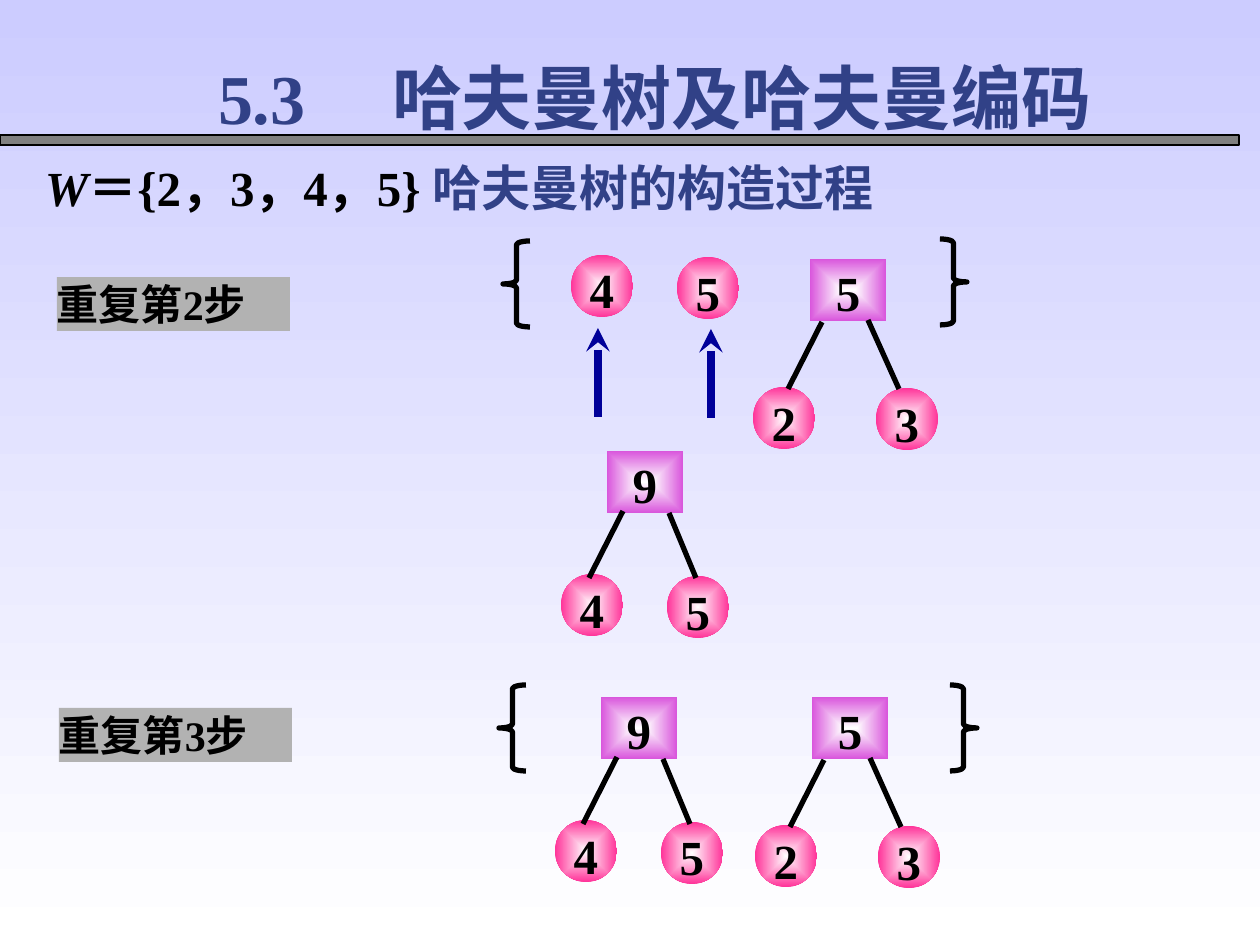
import pptx
import pptx.util
import pptx.dml.color
import pptx.enum.shapes
import pptx.enum.text
import pptx.oxml
import pptx.oxml.ns

SCALE = 914400 / 126
LATIN, ASIAN = "Times New Roman", "Noto Sans CJK SC"
BLACK, NAVY = "000000", "314187"
NODE = 62  # height of every node
SHAPE = pptx.enum.shapes.MSO_SHAPE
ALIGN = pptx.enum.text.PP_ALIGN
qn = pptx.oxml.ns.qn


def px(*nums):
    return [pptx.util.Emu(round(n * SCALE)) for n in nums]


def hue(code):
    return pptx.dml.color.RGBColor.from_string(code)


def sub(parent, tag, **attrs):
    node = parent.makeelement(qn(tag), attrs)
    parent.append(node)
    return node


def style(run, size, color=BLACK, slant=False):
    font = run.font
    font.size = pptx.util.Pt(size)
    font.bold, font.italic = True, slant
    font.color.rgb = hue(color)
    font.name = LATIN
    sub(run._r.get_or_add_rPr(), "a:ea", typeface=ASIAN)


def setup(frame, pads, wrap=True):
    frame.auto_size = pptx.enum.text.MSO_AUTO_SIZE.NONE
    frame.vertical_anchor = pptx.enum.text.MSO_ANCHOR.MIDDLE
    frame.word_wrap = wrap
    (frame.margin_left, frame.margin_top,
     frame.margin_right, frame.margin_bottom) = px(*pads)


def shade(fill, inner, outer):
    fill.gradient()
    for stop, pos, code in zip(fill.gradient_stops, (0, 1), (inner, outer)):
        stop.position = pos
        stop.color.rgb = hue(code)


def block(slide, kind, x, y, w, h, color=None):
    item = slide.shapes.add_shape(kind, *px(x, y, w, h))
    item.shadow.inherit = False
    item.line.fill.background()
    if color:
        item.fill.solid()
        item.fill.fore_color.rgb = hue(color)
    return item


def write(item, text, size, align, pads, wrap=True):
    setup(item.text_frame, pads, wrap)
    para = item.text_frame.paragraphs[0]
    para.text = text
    para.alignment = align
    style(para.runs[0], size)


def node(slide, kind, x, y, w, text, color, drop):
    item = block(slide, kind, x, y, w, NODE)
    shade(item.fill, "FFFFFF", color)
    # Radiate the gradient from the centre
    grad = item._element.spPr.find(qn("a:gradFill"))
    grad.remove(grad.find(qn("a:lin")))
    way = sub(grad, "a:path", path="rect")
    sub(way, "a:fillToRect", l="50000", t="50000", r="50000", b="50000")
    write(item, text, 28, ALIGN.CENTER, (0, drop, 0, 0), False)


def leaf(slide, x, y, text):
    node(slide, SHAPE.OVAL, x, y, NODE, text, "FF3399", 7)


def line(slide, start, end, color=BLACK, width=3, head=None):
    item = slide.shapes.add_connector(
        pptx.enum.shapes.MSO_CONNECTOR.STRAIGHT, *px(*start, *end))
    item.line.color.rgb = hue(color)
    item.line.width = pptx.util.Pt(width)
    if head:
        sub(item.line._get_or_add_ln(), "a:tailEnd", type=head)
    sub(item._element.spPr, "a:effectLst")


def tree(slide, x, y, root, leaves, spots, edges):
    """Root box at x, y; leaves and edges are offsets from it."""
    for text, (dx, dy) in zip(leaves, spots):
        leaf(slide, x + dx, y + dy, text)
    node(slide, SHAPE.RECTANGLE, x, y, 76, root, "D955DC", 4)
    for x1, y1, x2, y2 in edges:
        line(slide, (x + x1, y + y1), (x + x2, y + y2))


def nine(slide, x, y):
    tree(slide, x, y, "9", "45", [(-46, 123), (60, 125)],
         [(16, 60, -18, 127), (62, 62, 89, 127)])


def five(slide, x, y):
    tree(slide, x, y, "5", "23", [(-57, 128), (66, 129)],
         [(12, 63, -22, 130), (58, 61, 89, 130)])


def brace(slide, kind, x, y):
    item = block(slide, kind, x, y, 27, 86)
    item.adjustments[0] = 0.14
    item.fill.background()
    item.line.color.rgb = hue(BLACK)
    item.line.width = pptx.util.Pt(3)


def label(slide, x, y, text):
    item = block(slide, SHAPE.RECTANGLE, x, y, 233, 54, "B2B2B2")
    write(item, text, 24, ALIGN.LEFT, (0, 0, 0, 0))


def title(slide):
    item = slide.shapes.title
    item.left, item.top, item.width, item.height = px(205, 48, 971, 97)
    setup(item.text_frame, (13, 6, 13, 6))
    para = item.text_frame.paragraphs[0]
    para.text = "5.3\t哈夫曼树及哈夫曼编码"
    para.alignment = ALIGN.LEFT
    tabs = sub(para._p.get_or_add_pPr(), "a:tabLst")
    sub(tabs, "a:tab", pos=str(px(174)[0]), algn="l")
    style(para.runs[0], 40, NAVY)


def intro(slide):
    item = slide.shapes.add_textbox(*px(32, 151, 1166, 72))
    setup(item.text_frame, (13, 6, 13, 6))
    para = item.text_frame.paragraphs[0]
    for text, color, slant in (("W", BLACK, True),
                               ("＝{2，3，4，5} ", BLACK, False),
                               ("哈夫曼树的构造过程", NAVY, False)):
        run = para.add_run()
        run.text = text
        style(run, 28, color, slant)


def main():
    deck = pptx.Presentation()
    deck.slide_width, deck.slide_height = px(1260, 945)
    slide = deck.slides.add_slide(deck.slide_layouts[5])
    back = slide.background.fill
    shade(back, "CCCCFF", "FFFFFF")
    back.gradient_angle = 270

    # Heading
    title(slide)
    rule = block(slide, SHAPE.RECTANGLE, 0, 135, 1239, 10, "808080")
    rule.line.color.rgb = hue(BLACK)
    rule.line.width = pptx.util.Pt(0.75)
    intro(slide)

    # Step 2: pick the two smallest roots and join them
    label(slide, 57, 277, "重复第2步")
    brace(slide, SHAPE.LEFT_BRACE, 503, 241)
    leaf(slide, 571, 255, "4")
    leaf(slide, 677, 257, "5")
    five(slide, 810, 259)
    brace(slide, SHAPE.RIGHT_BRACE, 940, 239)
    for x, y in ((598, 328), (711, 329)):
        line(slide, (x, y + 89), (x, y), "000099", 4.5, "stealth")
    nine(slide, 607, 451)

    # Step 3: the new set of trees
    label(slide, 59, 708, "重复第3步")
    brace(slide, SHAPE.LEFT_BRACE, 499, 685)
    nine(slide, 601, 697)
    five(slide, 812, 697)
    brace(slide, SHAPE.RIGHT_BRACE, 950, 685)

    deck.save("out.pptx")


if __name__ == "__main__":
    main()
